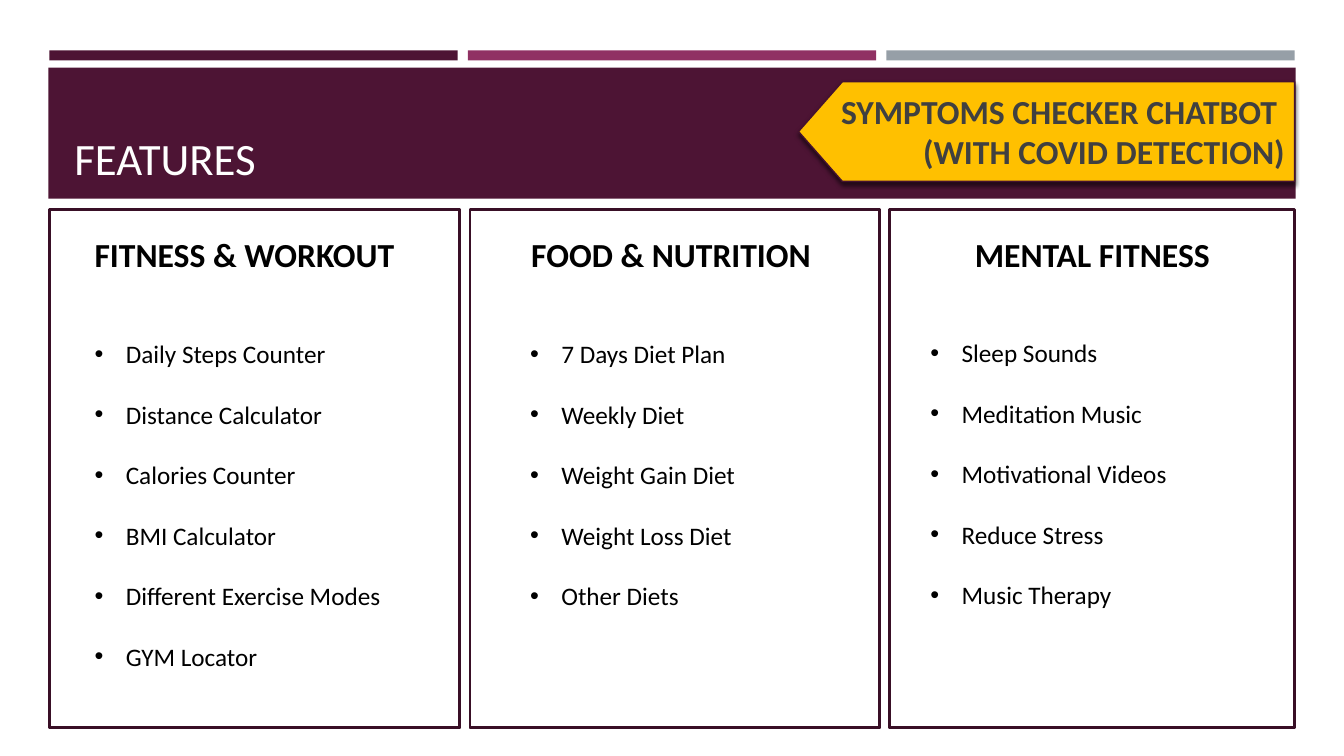
from dataclasses import dataclass

from lxml import etree
from pptx import Presentation
from pptx import util as u
from pptx.dml.color import RGBColor
from pptx.enum import shapes, text
from pptx.oxml import ns

PX = 9144  # EMU per px, 100 px to the inch


@dataclass(frozen=True)
class Theme:
    font: str = "Calibri"
    plum: str = "4D1434"
    magenta: str = "903163"
    grey: str = "969FA7"
    frame_line: str = "390F26"
    amber: str = "FFC000"
    banner_line: str = "45122F"
    white: str = "FFFFFF"
    black: str = "000000"
    charcoal: str = "404040"
    title_size: int = 32
    heading_size: int = 24
    item_size: int = 18


@dataclass(frozen=True)
class Box:
    left: int
    top: int
    width: int
    height: int

    def emu(self) -> list[int]:
        return [n * PX for n in (self.left, self.top, self.width, self.height)]


@dataclass(frozen=True)
class Feature:
    bar_color: str
    frame: Box
    heading_box: Box
    heading: str
    items_box: Box
    items: tuple[str, ...]


THEME = Theme()
INDENT = 31
BAR_LEFT, BAR_STEP = 49, 415

FEATURES = (
    Feature(THEME.plum, Box(49, 208, 407, 514),
            Box(84, 227, 320, 50), "FITNESS & WORKOUT",
            Box(84, 301, 310, 400),
            ("Daily Steps Counter", "Distance Calculator", "Calories Counter",
             "BMI Calculator", "Different Exercise Modes", "GYM Locator")),
    Feature(THEME.magenta, Box(466, 208, 407, 514),
            Box(517, 227, 300, 50), "FOOD & NUTRITION",
            Box(516, 301, 232, 364),
            ("7 Days Diet Plan", "Weekly Diet", "Weight Gain Diet",
             "Weight Loss Diet", "Other Diets")),
    Feature(THEME.grey, Box(882, 208, 402, 514),
            Box(957, 227, 255, 50), "MENTAL FITNESS",
            Box(913, 300, 337, 364),
            ("Sleep Sounds", "Meditation Music", "Motivational Videos",
             "Reduce Stress", "Music Therapy")),
)


def add_shape(slide, kind, box: Box, fill: str, line: str = "", line_width: float = 0):
    shape = slide.shapes.add_shape(kind, *box.emu())
    shape.shadow.inherit = False
    shape.fill.solid()
    shape.fill.fore_color.rgb = RGBColor.from_string(fill)
    if line:
        shape.line.color.rgb = RGBColor.from_string(line)
        shape.line.width = u.Pt(line_width)
    else:
        shape.line.fill.background()
    return shape


def add_bullet(paragraph) -> None:
    properties = paragraph._p.get_or_add_pPr()
    properties.set("marL", str(INDENT * PX))
    properties.set("indent", str(-INDENT * PX))
    etree.SubElement(properties, ns.qn("a:buFont"), typeface="Arial")
    etree.SubElement(properties, ns.qn("a:buChar"), char="•")


def add_text(slide, box: Box, lines: tuple[str, ...], size: int, color: str,
             bold: bool = False, align=text.PP_ALIGN.LEFT,
             anchor=text.MSO_ANCHOR.TOP, bulleted: bool = False) -> None:
    frame = slide.shapes.add_textbox(*box.emu()).text_frame
    frame.word_wrap = True
    frame.vertical_anchor = anchor
    frame.text = "\n".join(lines)
    for paragraph in frame.paragraphs:
        paragraph.alignment = align
        if bulleted:
            paragraph.line_spacing = 2.0
            add_bullet(paragraph)
        for run in paragraph.runs:
            run.font.name = THEME.font
            run.font.size = u.Pt(size)
            run.font.bold = bold
            run.font.color.rgb = RGBColor.from_string(color)


def add_drop_shadow(shape) -> None:
    effects = shape._element.spPr.find(ns.qn("a:effectLst"))
    shadow = etree.SubElement(
        effects, ns.qn("a:outerShdw"), blurRad=str(u.Pt(3)), dist=str(u.Pt(2)),
        dir="5400000", algn="ctr", rotWithShape="0")
    color = etree.SubElement(shadow, ns.qn("a:srgbClr"), val=THEME.black)
    etree.SubElement(color, ns.qn("a:alpha"), val="55000")


def add_feature(slide, index: int, feature: Feature) -> None:
    bar = Box(BAR_LEFT + index * BAR_STEP, 50, 405, 10)
    add_shape(slide, shapes.MSO_SHAPE.RECTANGLE, bar, feature.bar_color)
    frame = add_shape(slide, shapes.MSO_SHAPE.FRAME, feature.frame, THEME.plum,
                      THEME.frame_line, 1.75)
    frame.adjustments[0] = 0.001
    add_text(slide, feature.heading_box, (feature.heading,),
             THEME.heading_size, THEME.black, bold=True)
    add_text(slide, feature.items_box, feature.items,
             THEME.item_size, THEME.black, bulleted=True)


def add_banner(slide) -> None:
    banner = add_shape(slide, shapes.MSO_SHAPE.PENTAGON, Box(792, 81, 492, 99),
                       THEME.amber, THEME.banner_line, 1)
    banner.adjustments[0] = 0.439
    banner._element.spPr.find(ns.qn("a:xfrm")).set("flipH", "1")
    add_drop_shadow(banner)
    add_text(slide, Box(819, 85, 465, 91),
             ("SYMPTOMS CHECKER CHATBOT ", "(WITH COVID DETECTION)"),
             THEME.heading_size, THEME.charcoal, bold=True,
             align=text.PP_ALIGN.RIGHT)


def main() -> None:
    deck = Presentation()
    deck.slide_width, deck.slide_height = 1333 * PX, 750 * PX
    slide = deck.slides.add_slide(deck.slide_layouts[6])

    # Title band
    add_shape(slide, shapes.MSO_SHAPE.RECTANGLE, Box(48, 67, 1237, 130), THEME.plum)
    add_text(slide, Box(64, 77, 1206, 111), ("FEATURES",), THEME.title_size,
             THEME.white, anchor=text.MSO_ANCHOR.BOTTOM)

    # Feature columns
    for index, feature in enumerate(FEATURES):
        add_feature(slide, index, feature)

    # Chatbot banner
    add_banner(slide)

    deck.save("out.pptx")


if __name__ == "__main__":
    main()
